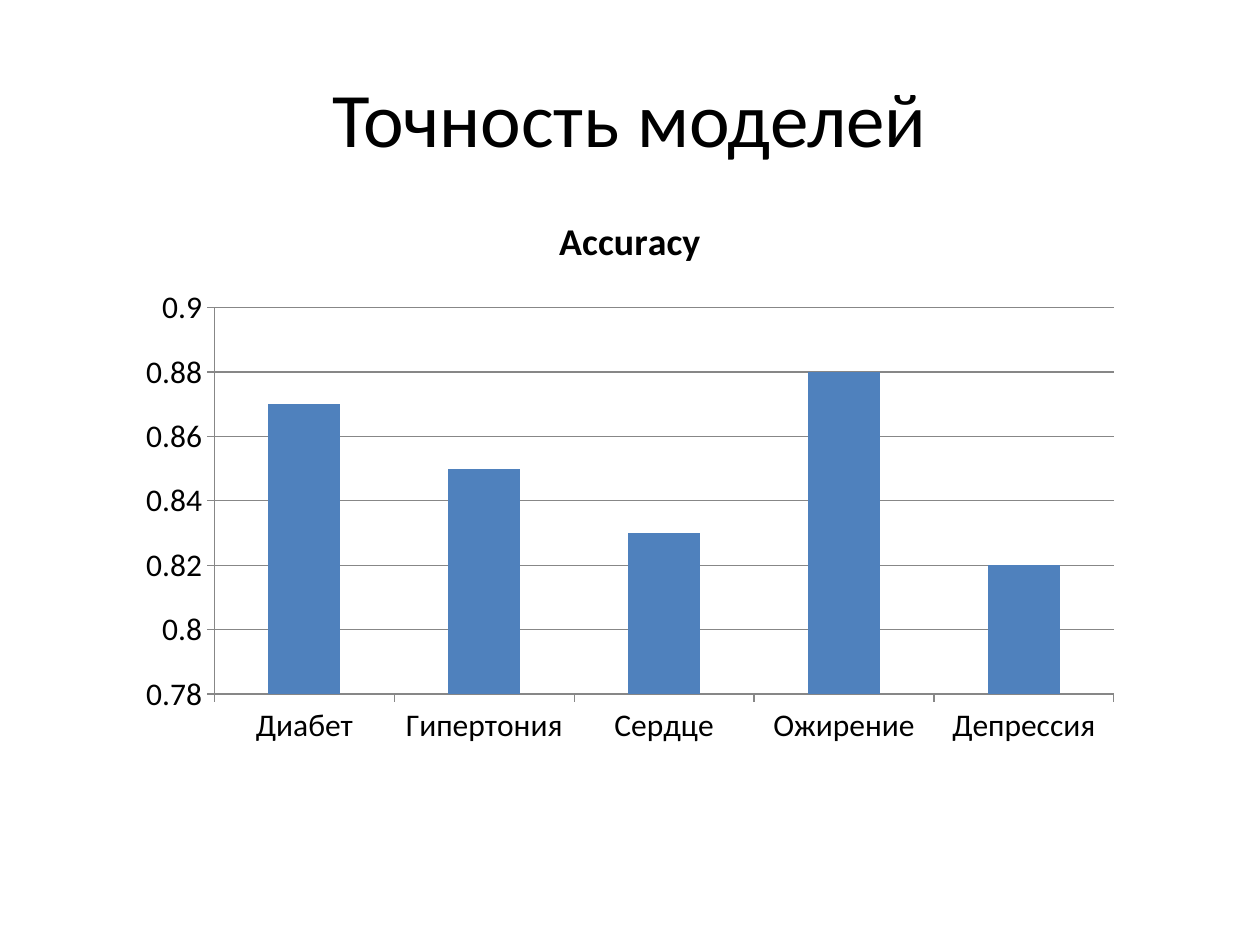
from pptx import Presentation
from pptx import util as u
from pptx.chart import data
from pptx.dml import color
from pptx.enum import chart as charts, text

FONT = "Calibri"
BLACK, GREY, BLUE = "000000", "878787", "4F81BD"
ACCURACY = {
    "Диабет": 0.87,
    "Гипертония": 0.85,
    "Сердце": 0.83,
    "Ожирение": 0.88,
    "Депрессия": 0.82,
}


def rgb(value):
    """Return the colour for a hex string."""
    return color.RGBColor.from_string(value)


def style_font(font, size, bold=False):
    """Apply the slide's typeface and text colour."""
    font.name = FONT
    font.size = u.Pt(size)
    font.bold = bold
    font.color.rgb = rgb(BLACK)


def style_line(line):
    """Give an axis or gridline its thin grey stroke."""
    line.color.rgb = rgb(GREY)
    line.width = u.Pt(0.75)


def add_title(slide, wording):
    """Add the centred slide title."""
    shape = slide.shapes.add_textbox(u.Cm(1.27), u.Cm(0.76), u.Cm(22.86), u.Cm(3.18))
    frame = shape.text_frame
    frame.word_wrap = True
    frame.vertical_anchor = text.MSO_ANCHOR.MIDDLE
    frame.text = wording
    paragraph = frame.paragraphs[0]
    paragraph.alignment = text.PP_ALIGN.CENTER
    style_font(paragraph.runs[0].font, 44)


def style_axes(chart):
    """Set the scale, ticks and gridlines of both axes."""
    for axis in (chart.category_axis, chart.value_axis):
        axis.major_tick_mark = charts.XL_TICK_MARK.OUTSIDE
        axis.minor_tick_mark = charts.XL_TICK_MARK.NONE
        style_line(axis.format.line)
    value_axis = chart.value_axis
    value_axis.minimum_scale = 0.78
    value_axis.maximum_scale = 0.9
    value_axis.major_unit = 0.02
    value_axis.has_major_gridlines = True
    style_line(value_axis.major_gridlines.format.line)


def add_column_chart(slide, name, values):
    """Add a titled column chart with one series."""
    chart_data = data.CategoryChartData()
    chart_data.categories = list(values)
    chart_data.add_series(name, list(values.values()))
    chart = slide.shapes.add_chart(
        charts.XL_CHART_TYPE.COLUMN_CLUSTERED,
        u.Cm(2.54), u.Cm(3.81), u.Cm(20.32), u.Cm(11.43), chart_data,
    ).chart
    style_font(chart.font, 18)
    chart.has_legend = False
    chart.has_title = True
    title = chart.chart_title
    title.include_in_layout = False
    title.text_frame.text = name
    style_font(title.text_frame.paragraphs[0].runs[0].font, 21.6, bold=True)
    style_axes(chart)
    plot = chart.plots[0]
    plot.vary_by_categories = False
    plot.gap_width = 150
    fill = plot.series[0].format.fill
    fill.solid()
    fill.fore_color.rgb = rgb(BLUE)


def main():
    """Build and save the model accuracy slide."""
    presentation = Presentation()
    presentation.slide_width = u.Cm(25.4)
    presentation.slide_height = u.Cm(19.05)
    slide = presentation.slides.add_slide(presentation.slide_layouts[6])
    add_title(slide, "Точность моделей")
    add_column_chart(slide, "Accuracy", ACCURACY)
    presentation.save("out.pptx")


if __name__ == "__main__":
    main()
